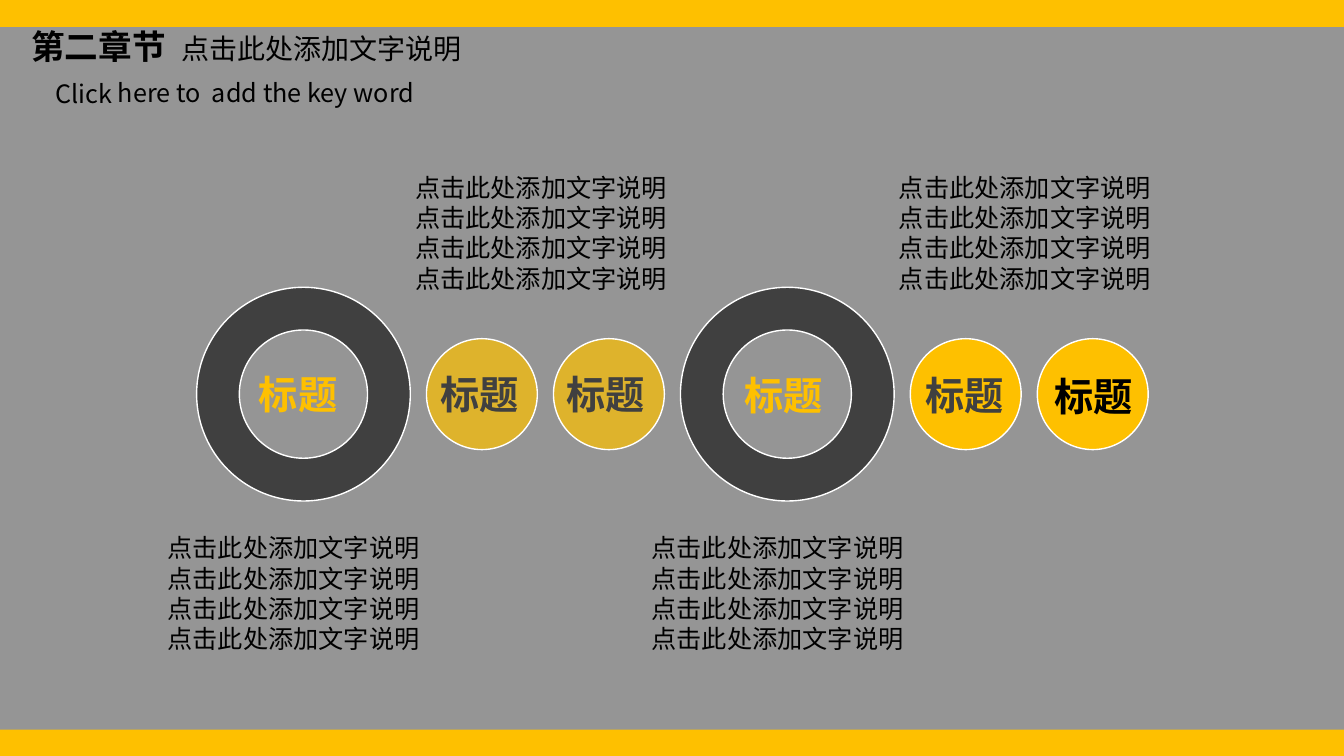
from pptx import Presentation
from pptx.dml.color import RGBColor
from pptx.enum.shapes import MSO_SHAPE
from pptx.enum.text import MSO_ANCHOR, MSO_AUTO_SIZE, PP_ALIGN
from pptx.oxml.ns import qn
from pptx.util import Inches, Pt
from lxml import etree

RECTANGLE, DONUT, OVAL = MSO_SHAPE.RECTANGLE, MSO_SHAPE.DONUT, MSO_SHAPE.OVAL
TOP, LEFT, NO_FIT = MSO_ANCHOR.TOP, PP_ALIGN.LEFT, MSO_AUTO_SIZE.NONE
FONT = "Noto Sans CJK SC"
YELLOW, GREY, DARK, BLACK, WHITE = "FEC000", "959595", "404040", "000000", "FFFFFF"
TITLE_ONLY = 5

# The grid has 100 columns and 100 rows.
WIDTH, HEIGHT = Inches(13.33), Inches(7.5)
COLUMN, ROW = WIDTH / 100, HEIGHT / 100
GROUP_PITCH = 36
CIRCLE_PITCH = 9.45

PHRASE = "点击此处添加文字说明"
DESCRIPTION = "\n".join([PHRASE, PHRASE * 2, PHRASE])
LABEL = "标题"

# Each group: circle opacity, then (left, top, colour) of its three labels.
GROUPS = [
    (70, [(18.53, 48.27, YELLOW), (32.03, 48.27, DARK), (41.4, 48.27, DARK)]),
    (100, [(18.68, 48.4, YELLOW), (32.1, 48.4, DARK), (41.7, 48.53, BLACK)]),
]


def color(hex_value):
    return RGBColor.from_string(hex_value)


def grid(left, top, width, height):
    """Turn columns and rows into slide lengths."""
    return (int(left * COLUMN), int(top * ROW),
            int(width * COLUMN), int(height * ROW))


def format_run(run, size, hex_value, bold=False):
    run.font.size, run.font.bold, run.font.name = Pt(size), bold, FONT
    run.font.color.rgb = color(hex_value)
    east_asian = etree.SubElement(run.font._element, qn("a:ea"))
    east_asian.set("typeface", FONT)


def add_shape(slide, kind, box, fill, outline=None, opacity=100):
    shape = slide.shapes.add_shape(kind, *grid(*box))
    shape.shadow.inherit = False
    shape.fill.solid()
    shape.fill.fore_color.rgb = color(fill)
    if opacity < 100:
        fill_color = shape._element.spPr.find(qn("a:solidFill"))[0]
        etree.SubElement(fill_color, qn("a:alpha")).set("val", str(opacity * 1000))
    if outline:
        shape.line.color.rgb = color(outline)
        shape.line.width = Pt(1)
    else:
        shape.line.fill.background()
    return shape


def add_text(slide, box, text, size, hex_value=BLACK, bold=False):
    shape = slide.shapes.add_textbox(*grid(*box))
    frame = shape.text_frame
    frame.word_wrap = True
    frame.text = text
    for paragraph in frame.paragraphs:
        for run in paragraph.runs:
            format_run(run, size, hex_value, bold)
    return shape


def set_heading(slide, chapter, explanation):
    title = slide.shapes.title
    title.left, title.top, title.width, title.height = grid(1.58, 2.8, 33.83, 6.67)
    frame = title.text_frame
    frame.auto_size, frame.vertical_anchor, frame.word_wrap = NO_FIT, TOP, True
    paragraph = frame.paragraphs[0]
    paragraph.alignment = LEFT
    for text, size, bold in [(chapter, 24, True), (explanation, 20, False)]:
        run = paragraph.add_run()
        run.text = text
        format_run(run, size, BLACK, bold)


def add_group(slide, shift, opacity, labels):
    """Draw a ring, two circles, their labels and two descriptions."""
    ring = add_shape(slide, DONUT, (14.63 + shift, 38, 15.9, 28.27), DARK, WHITE)
    ring.adjustments[0] = 0.2
    for index in range(2):
        left = 31.73 + shift + index * CIRCLE_PITCH
        add_shape(slide, OVAL, (left, 44.8, 8.25, 14.67), YELLOW, WHITE, opacity)
    for left, top, hex_value in labels:
        add_text(slide, (left + shift, top, 7.8, 7.6), LABEL, 28, hex_value, True)
    for left, top in [(11.73, 69.8), (30.15, 22.13)]:
        add_text(slide, (left + shift, top, 21.98, 17.47), DESCRIPTION, 18)


def main():
    presentation = Presentation()
    presentation.slide_width, presentation.slide_height = WIDTH, HEIGHT
    slide = presentation.slides.add_slide(presentation.slide_layouts[TITLE_ONLY])
    slide.background.fill.solid()
    slide.background.fill.fore_color.rgb = color(YELLOW)

    panel = add_shape(slide, RECTANGLE, (0, 3.6, 100, 92.93), GREY)
    slide.shapes.title._element.addprevious(panel._element)
    set_heading(slide, "第二章节  ", PHRASE)
    subtitle = add_text(slide, (3.38, 9.6, 30.38, 5.33),
                        "Click here to  add the key word", 18)
    subtitle.rotation = 359.9

    for index, (opacity, labels) in enumerate(GROUPS):
        add_group(slide, index * GROUP_PITCH, opacity, labels)
    presentation.save("out.pptx")


if __name__ == "__main__":
    main()
